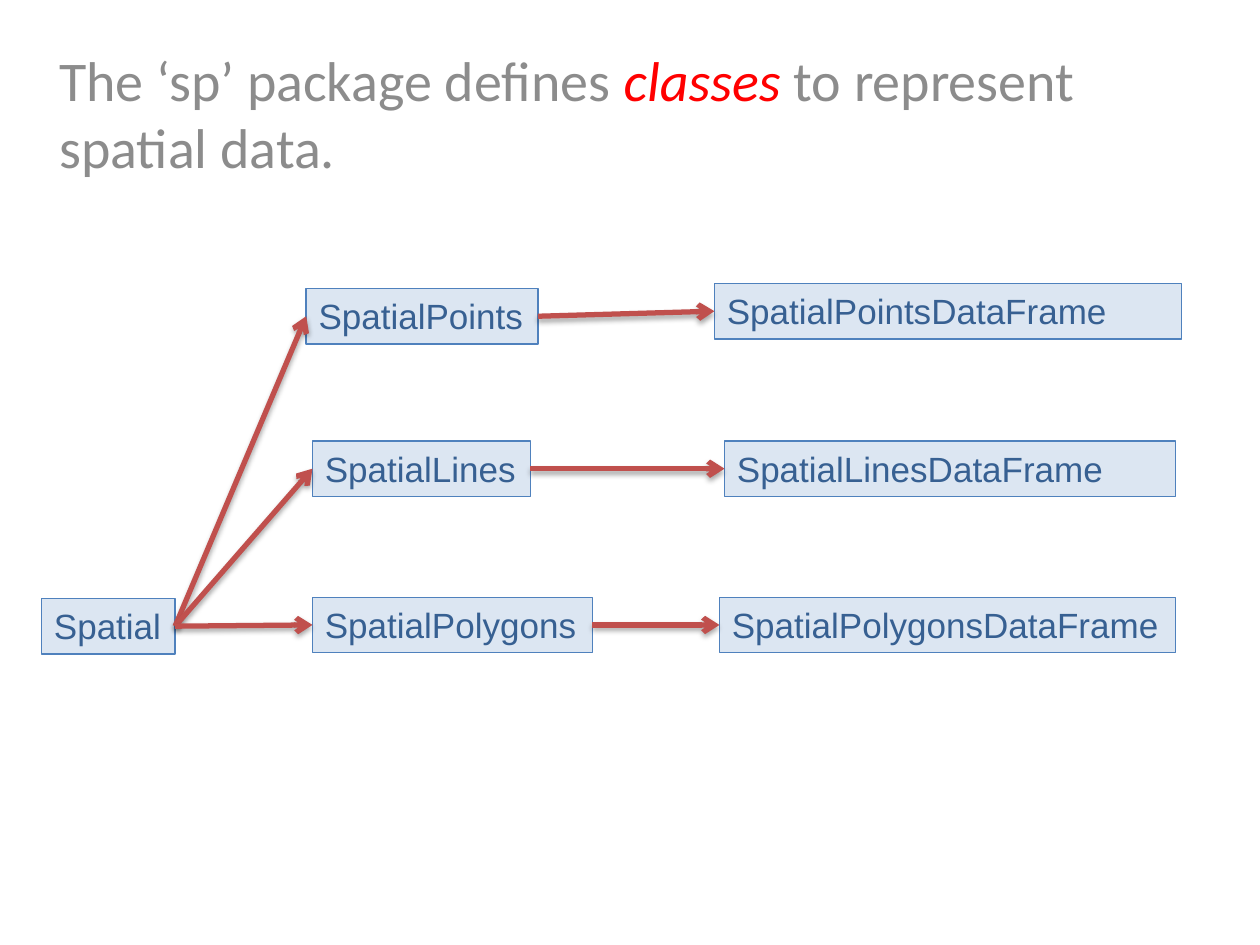
from lxml.etree import SubElement
from pptx import Presentation
from pptx.dml.color import RGBColor
from pptx.enum.shapes import MSO_CONNECTOR
from pptx.enum.text import MSO_ANCHOR, MSO_AUTO_SIZE, PP_ALIGN
from pptx.oxml import parse_xml
from pptx.oxml.ns import nsdecls, qn
from pptx.util import Inches, Pt

LEFT, RIGHT = 1, 3  # connection sites of a rectangle
HIGH = 0.44

# name: left, top, width, wrap
BOXES = {
    "Spatial": (0.33, 4.75, 1.06, False),
    "SpatialPoints": (2.43, 2.29, 1.84, False),
    "SpatialPointsDataFrame": (5.67, 2.25, 3.71, True),
    "SpatialLines": (2.48, 3.5, 1.73, False),
    "SpatialLinesDataFrame": (5.75, 3.5, 3.58, True),
    "SpatialPolygons": (2.48, 4.74, 2.22, False),
    "SpatialPolygonsDataFrame": (5.71, 4.74, 3.62, False),
}
KINDS = ("SpatialPoints", "SpatialLines", "SpatialPolygons")

SHADOW = f"""<a:effectLst {nsdecls("a")}>
  <a:outerShdw blurRad="{Pt(3.1)}" dist="{Pt(1.8)}" dir="5400000" rotWithShape="0">
    <a:srgbClr val="000000"><a:alpha val="35000"/></a:srgbClr>
  </a:outerShdw>
</a:effectLst>"""


def color(code):
    return RGBColor.from_string(code)


def add_run(para, text, size, font, code, italic=False):
    run = para.add_run()
    run.text = text
    run.font.size = Pt(size)
    run.font.name = font
    run.font.italic = italic
    run.font.color.rgb = color(code)


def set_title(slide):
    title = slide.shapes.title
    title.left, title.top = Inches(0.37), Inches(0.31)
    title.width, title.height = Inches(9), Inches(1.42)
    frame = title.text_frame
    frame.word_wrap = True
    frame.auto_size = MSO_AUTO_SIZE.NONE
    frame.vertical_anchor = MSO_ANCHOR.TOP
    para = frame.paragraphs[0]
    para.alignment = PP_ALIGN.LEFT
    add_run(para, "The ‘sp’ package defines ", 32, "Calibri", "8C8C8C")
    add_run(para, "classes ", 32, "Calibri", "FF0000", italic=True)
    add_run(para, "to represent spatial data.", 32, "Calibri", "8C8C8C")


def add_box(slide, name, left, top, width, wrap):
    box = slide.shapes.add_textbox(
        Inches(left), Inches(top), Inches(width), Inches(HIGH))
    box.fill.solid()
    box.fill.fore_color.rgb = color("DCE6F2")
    box.line.color.rgb = color("4F81BD")
    box.line.width = Pt(0.75)
    frame = box.text_frame
    frame.word_wrap = wrap
    frame.auto_size = MSO_AUTO_SIZE.SHAPE_TO_FIT_TEXT
    add_run(frame.paragraphs[0], name, 20, "Arial", "376092")
    return box


def add_arrow(slide, start, end):
    """Join the right side of one box to the left side of another."""
    arrow = slide.shapes.add_connector(MSO_CONNECTOR.STRAIGHT, 0, 0, 0, 0)
    arrow.begin_connect(start, RIGHT)
    arrow.end_connect(end, LEFT)
    arrow.line.color.rgb = color("C0504D")
    arrow.line.width = Pt(3)
    SubElement(arrow.line._get_or_add_ln(), qn("a:tailEnd"), type="arrow")
    arrow._element.spPr.append(parse_xml(SHADOW))


def main():
    deck = Presentation()
    deck.slide_width, deck.slide_height = Inches(10), Inches(7.5)
    slide = deck.slides.add_slide(deck.slide_layouts[5])
    set_title(slide)
    boxes = {name: add_box(slide, name, *spot) for name, spot in BOXES.items()}
    for kind in KINDS:
        add_arrow(slide, boxes["Spatial"], boxes[kind])
    for kind in KINDS:
        add_arrow(slide, boxes[kind], boxes[kind + "DataFrame"])
    deck.save("out.pptx")


if __name__ == "__main__":
    main()
